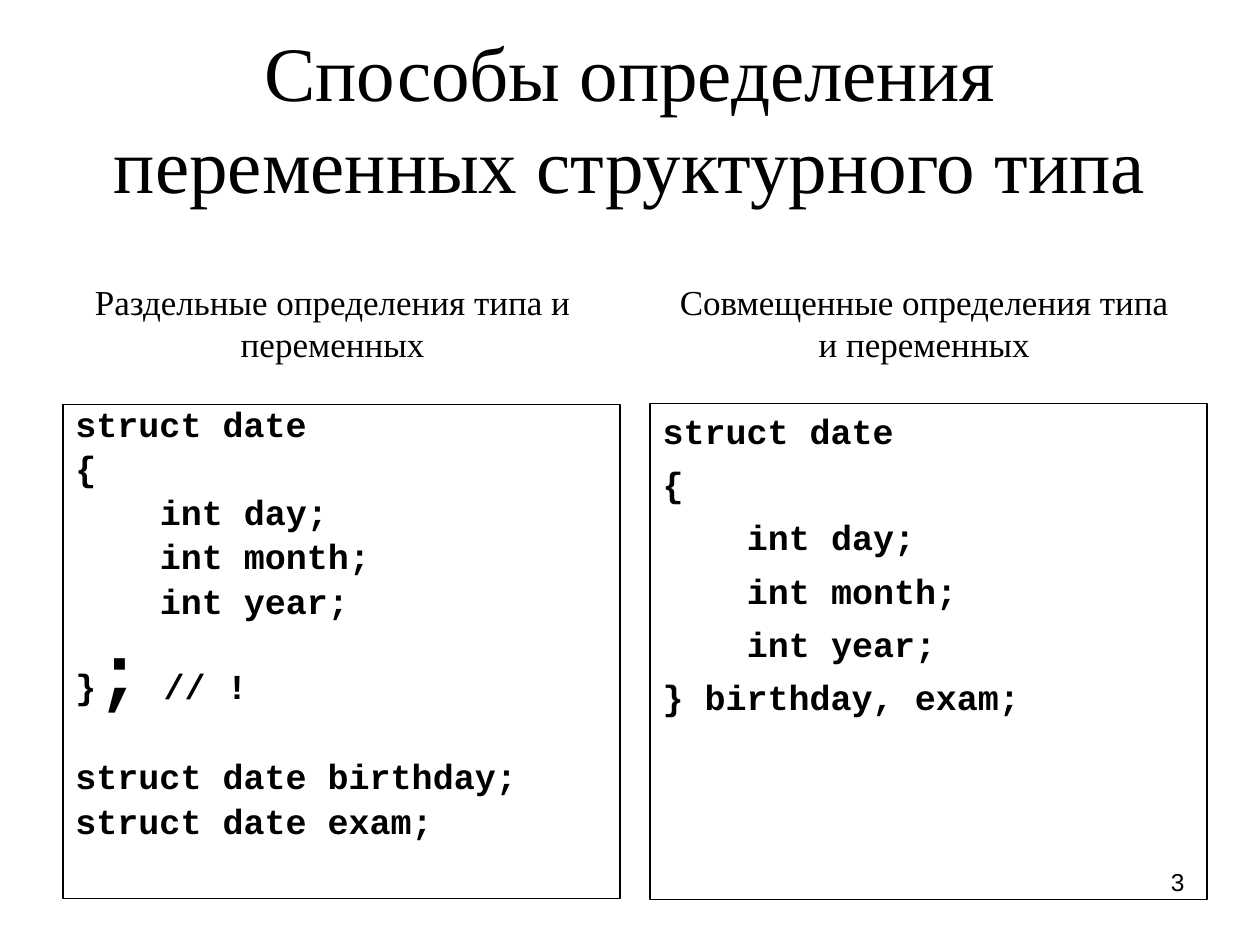
from dataclasses import dataclass

from pptx import Presentation
from pptx.dml.color import RGBColor
from pptx.enum.shapes import MSO_SHAPE
from pptx.enum.text import MSO_ANCHOR, PP_ALIGN
from pptx.shapes.autoshape import Shape
from pptx.slide import Slide
from pptx.text.text import _Paragraph as Para
from pptx.util import Inches, Pt

RECT = MSO_SHAPE.RECTANGLE
TOP, MIDDLE = MSO_ANCHOR.TOP, MSO_ANCHOR.MIDDLE
LEFT, CENTER, RIGHT = PP_ALIGN.LEFT, PP_ALIGN.CENTER, PP_ALIGN.RIGHT


@dataclass(frozen=True)
class Theme:
    ink: RGBColor = RGBColor(0, 0, 0)
    serif: str = "Times New Roman"
    sans: str = "Arial"
    mono: str = "Courier New"
    large: float = 44
    body: float = 20
    small: float = 14
    border: float = 0.75
    tab: float = 0.67


@dataclass(frozen=True)
class Box:
    left: float
    top: float
    width: float
    height: float


@dataclass(frozen=True)
class Label:
    box: Box
    lines: tuple[str, ...]
    font: str
    size: float
    align: PP_ALIGN = CENTER
    wrap: bool = True
    anchor: MSO_ANCHOR = TOP


@dataclass(frozen=True)
class Line:
    """A line of code; its texts alternate between body and large size."""
    texts: tuple[str, ...]
    level: int = 0
    before: float | None = None


@dataclass(frozen=True)
class Code:
    box: Box
    lines: tuple[Line, ...]
    before: float
    pitch: float = 1.0


THEME = Theme()

HEAD = (
    Line(("struct date",)),
    Line(("{",)),
    Line(("int day;",), 1),
    Line(("int month;",), 1),
    Line(("int year;",), 1),
)

CODES = (
    Code(Box(0.5, 3.21, 4.42, 3.92), HEAD + (
        Line(("}", ";", " // !"), before=11),
        Line(("struct date birthday;",), before=28),
        Line(("struct date exam;",)),
    ), before=6, pitch=0.8),
    Code(Box(5.16, 3.2, 4.42, 3.94), HEAD + (
        Line(("} birthday, exam;",)),
    ), before=6.4),
)

LABELS = (
    Label(Box(0.5, 0.3, 9, 1.25),
          ("Способы определения переменных структурного типа",),
          THEME.serif, THEME.large, anchor=MIDDLE),
    Label(Box(0.65, 2.18, 3.98, 0.77),
          ("Раздельные определения типа и", "переменных"),
          THEME.serif, THEME.body, wrap=False),
    Label(Box(5.29, 2.18, 4.09, 0.77),
          ("Совмещенные определения типа", "и переменных"),
          THEME.serif, THEME.body, wrap=False),
    Label(Box(7.17, 6.83, 2.33, 0.52), ("3",),
          THEME.sans, THEME.small, align=RIGHT),
)


def place(box: Box) -> tuple[Inches, ...]:
    return tuple(map(Inches, (box.left, box.top, box.width, box.height)))


def add_run(para: Para, text: str, font: str, size: float,
            bold: bool = False) -> None:
    run = para.add_run()
    run.text = text
    run.font.name = font
    run.font.size = Pt(size)
    run.font.bold = bold
    run.font.color.rgb = THEME.ink


def add_lines(shape: Shape, count: int) -> list[Para]:
    """Give the shape the wanted number of empty paragraphs."""
    frame = shape.text_frame
    for _ in range(count - 1):
        frame.add_paragraph()
    return list(frame.paragraphs)


def draw_label(slide: Slide, label: Label) -> None:
    shape = slide.shapes.add_textbox(*place(label.box))
    shape.text_frame.word_wrap = label.wrap
    shape.text_frame.vertical_anchor = label.anchor
    for para, text in zip(add_lines(shape, len(label.lines)), label.lines):
        para.alignment = label.align
        add_run(para, text, label.font, label.size)


def draw_code(slide: Slide, code: Code) -> None:
    shape = slide.shapes.add_shape(RECT, *place(code.box))
    shape.shadow.inherit = False
    shape.fill.background()
    shape.line.color.rgb = THEME.ink
    shape.line.width = Pt(THEME.border)
    shape.text_frame.word_wrap = True
    shape.text_frame.vertical_anchor = TOP
    for para, line in zip(add_lines(shape, len(code.lines)), code.lines):
        para.alignment = LEFT
        para.line_spacing = code.pitch
        para.space_before = Pt(line.before or code.before)
        if line.level:
            props = para._p.get_or_add_pPr()
            props.set("marL", str(Inches(THEME.tab * line.level)))
        for index, text in enumerate(line.texts):
            size = THEME.large if index % 2 else THEME.body
            add_run(para, text, THEME.mono, size, bold=True)


def main() -> None:
    deck = Presentation()
    deck.slide_width, deck.slide_height = Inches(10), Inches(7.5)
    slide = deck.slides.add_slide(deck.slide_layouts[6])
    for code in CODES:
        draw_code(slide, code)
    for label in LABELS:
        draw_label(slide, label)
    deck.save("out.pptx")


if __name__ == "__main__":
    main()
